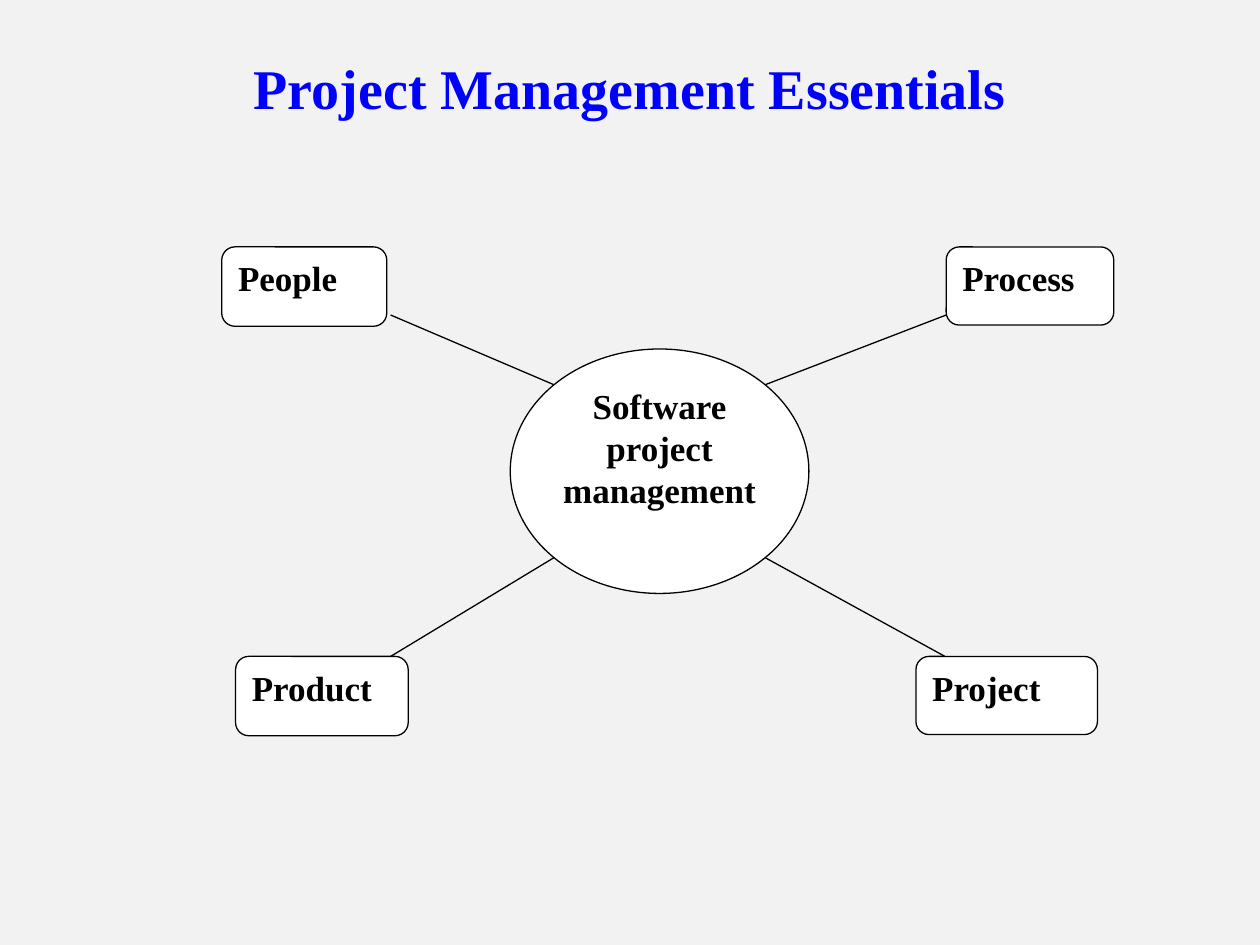
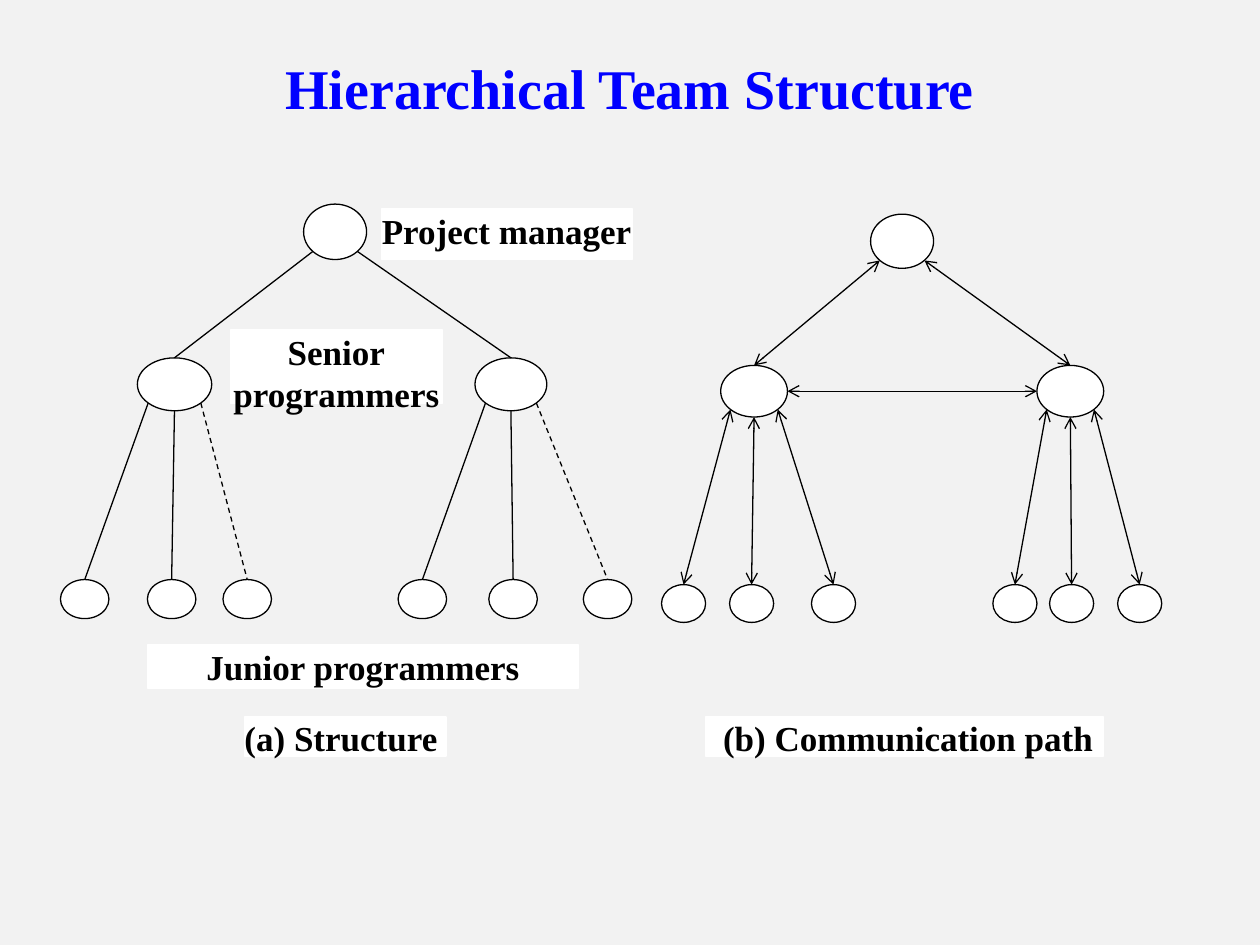
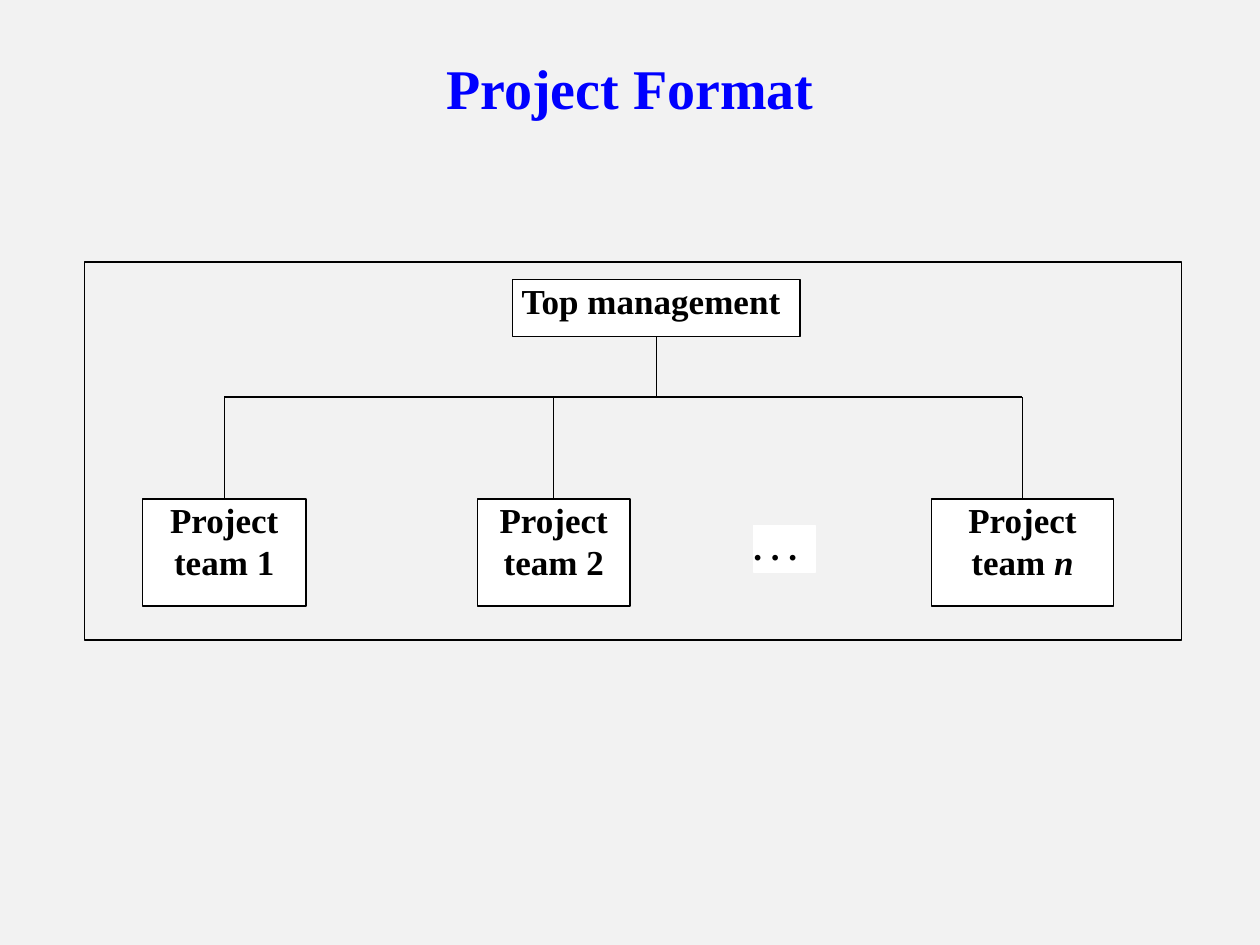
import dataclasses

import lxml.etree
import pptx
import pptx.dml.color
import pptx.enum.dml
import pptx.enum.shapes
import pptx.enum.text
import pptx.oxml.ns
import pptx.util

SHAPE = pptx.enum.shapes.MSO_SHAPE
ALIGN = pptx.enum.text.PP_ALIGN
ANCHOR = pptx.enum.text.MSO_ANCHOR

WIDTH, HEIGHT = pptx.util.Inches(10), pptx.util.Inches(7.5)
COLUMNS, ROWS = 100, 75
RIM = 0.354  # share of an ellipse's size from its centre to its diagonal rim


@dataclasses.dataclass(frozen=True)
class Theme:
    font: str = "Times New Roman"
    title_size: float = 32
    text_size: float = 20
    line_width: float = 0.75
    background: str = "F2F2F2"
    title: str = "0000FF"
    ink: str = "000000"
    paper: str = "FFFFFF"


THEME = Theme()


@dataclasses.dataclass(frozen=True)
class Box:
    """A rectangle in columns and rows of the slide grid."""
    col: float
    row: float
    cols: float
    rows: float

    def inner(self, col, row, cols, rows):
        return Box(self.col + col, self.row + row, cols, rows)

    def point(self, across, down):
        """Point at the given shares of the offset from centre to full size."""
        return (self.col + self.cols * (0.5 + across),
                self.row + self.rows * (0.5 + down))

    def top(self):
        return self.point(0, -0.5)

    def emu(self):
        return (*to_emu(self.col, self.row), *to_emu(self.cols, self.rows))


def to_emu(col, row):
    return round(col * WIDTH / COLUMNS), round(row * HEIGHT / ROWS)


def color(code):
    return pptx.dml.color.RGBColor.from_string(code)


def add_run(paragraph, text, size, ink, italic=False):
    run = paragraph.add_run()
    run.text = text
    run.font.name = THEME.font
    run.font.size = pptx.util.Pt(size)
    run.font.bold = True
    if italic:
        run.font.italic = True
    run.font.color.rgb = color(ink)


def add_block(slide, box, kind=SHAPE.RECTANGLE, outline=THEME.ink, filled=True):
    block = slide.shapes.add_shape(kind, *box.emu())
    block.shadow.inherit = False
    if filled:
        block.fill.solid()
        block.fill.fore_color.rgb = color(THEME.paper)
    else:
        block.fill.background()
    block.line.color.rgb = color(outline)
    block.line.width = pptx.util.Pt(THEME.line_width)
    return block


def write(block, lines, align=ALIGN.CENTER, left=0, padded=False):
    """Fill a block with lines; each is a tuple of a run and maybe an italic one."""
    frame = block.text_frame
    frame.word_wrap = True
    frame.vertical_anchor = ANCHOR.TOP
    if not padded:
        frame.margin_left = pptx.util.Pt(left)
        frame.margin_right = frame.margin_top = frame.margin_bottom = 0
    for number, runs in enumerate(lines):
        paragraph = frame.add_paragraph() if number else frame.paragraphs[0]
        paragraph.alignment = align
        for position, text in enumerate(runs):
            add_run(paragraph, text, THEME.text_size, THEME.ink, position > 0)


def add_label(slide, box, *lines, align=ALIGN.CENTER, left=0):
    write(add_block(slide, box, outline=THEME.paper),
          [(line,) for line in lines], align, left)


def add_link(slide, start, end, dashed=False, arrows=False):
    link = slide.shapes.add_connector(
        pptx.enum.shapes.MSO_CONNECTOR.STRAIGHT, *to_emu(*start), *to_emu(*end))
    link.line.color.rgb = color(THEME.ink)
    link.line.width = pptx.util.Pt(THEME.line_width)
    if dashed:
        link.line.dash_style = pptx.enum.dml.MSO_LINE.DASH
    if arrows:
        for tip in ("a:headEnd", "a:tailEnd"):
            lxml.etree.SubElement(link.line._get_or_add_ln(),
                                  pptx.oxml.ns.qn(tip), type="arrow")
    lxml.etree.SubElement(link._element.spPr, pptx.oxml.ns.qn("a:effectLst"))


def add_titled_slide(deck, heading):
    slide = deck.slides.add_slide(deck.slide_layouts[5])
    title = slide.shapes.title
    title.left, title.top, title.width, title.height = Box(5, 3, 90, 7.8).emu()
    title.text_frame.vertical_anchor = ANCHOR.MIDDLE
    paragraph = title.text_frame.paragraphs[0]
    paragraph.alignment = ALIGN.CENTER
    add_run(paragraph, heading, THEME.title_size, THEME.title)
    return slide


def draw_essentials(slide, region):
    hub = region.inner(22.9, 8.1, 23.7, 19.4)
    write(add_block(slide, hub, SHAPE.OVAL), [("Software project management",)])
    # name, card, link end, side of the hub
    essentials = (
        ("People", (0, 0, 13.1, 6.3), (13.4, 5.4), (-RIM, -RIM)),
        ("Process", (57.5, 0, 13.3, 6.2), (57.5, 5.4), (RIM, -RIM)),
        ("Product", (1.1, 32.5, 13.7, 6.3), (13.4, 32.5), (-RIM, RIM)),
        ("Project", (55.1, 32.5, 14.4, 6.2), (57.4, 32.5), (RIM, RIM)),
    )
    for name, card, (col, row), side in essentials:
        block = add_block(slide, region.inner(*card), SHAPE.ROUNDED_RECTANGLE)
        write(block, [(name,)], ALIGN.LEFT, padded=True)
        add_link(slide, hub.point(*side), (region.col + col, region.row + row))


def draw_team(slide, region, manager, seniors, junior_row, junior_size,
              communicating=False):
    """Draw a manager, two seniors and their juniors, given as (senior, columns)."""
    manager = region.inner(*manager)
    add_block(slide, manager, SHAPE.OVAL)
    senior_boxes = [region.inner(*senior) for senior, _ in seniors]
    for senior, (_, junior_cols), side in zip(senior_boxes, seniors, (-RIM, RIM)):
        add_block(slide, senior, SHAPE.OVAL)
        add_link(slide, manager.point(side, RIM), senior.top(),
                 arrows=communicating)
        exits = ((-RIM, RIM), (0, 0.5), (RIM, RIM))
        for number, (col, exit_side) in enumerate(zip(junior_cols, exits)):
            junior = region.inner(col, junior_row, *junior_size)
            add_block(slide, junior, SHAPE.OVAL)
            add_link(slide, senior.point(*exit_side), junior.top(),
                     dashed=number == 2 and not communicating,
                     arrows=communicating)
    if communicating:
        left, right = senior_boxes
        add_link(slide, left.point(0.5, 0), right.point(-0.5, 0), arrows=True)


def draw_structure(slide, region):
    draw_team(slide, region, (19.3, 0, 5, 4.4),
              (((6.1, 12.2, 5.9, 4.2), (0, 6.9, 12.9)),
               ((32.9, 12.2, 5.7, 4.2), (26.8, 34, 41.5))),
              29.8, (3.85, 3.1))
    add_label(slide, region.inner(25.5, 0.4, 19.9, 4), "Project manager",
              align=ALIGN.LEFT)
    add_label(slide, region.inner(13.5, 10, 16.8, 5.8), "Senior", "programmers")
    add_label(slide, region.inner(6.9, 35, 34.2, 3.4), "Junior programmers")
    add_label(slide, region.inner(14.6, 40.7, 16, 3.1), "(a) Structure",
              align=ALIGN.LEFT)


def draw_communication(slide, region):
    draw_team(slide, region, (16.6, 0, 5, 4.3),
              (((4.7, 12, 5.3, 4.1), (0, 5.4, 11.9)),
               ((29.8, 12, 5.3, 4.1), (26.3, 30.8, 36.2))),
              29.4, (3.5, 3), communicating=True)
    add_label(slide, region.inner(3.5, 39.9, 31.6, 3.1), "(b) Communication path",
              align=ALIGN.LEFT, left=10)


def draw_project_format(slide, region):
    add_block(slide, region, filled=False)
    management = region.inner(34, 1.4, 22.8, 4.5)
    write(add_block(slide, management), [("Top management",)], ALIGN.LEFT, left=5)
    bus_row = region.row + 10.7
    teams = (
        (4.6, 13, ("team 1",)),
        (31.2, 12.1, ("team 2",)),
        (67.2, 14.5, ("team ", "n")),
    )
    stems = []
    for col, cols, name in teams:
        team = region.inner(col, 18.8, cols, 8.5)
        write(add_block(slide, team), [("Project",), name])
        stem, top = team.top()
        add_link(slide, (stem, bus_row), (stem, top))
        stems.append(stem)
    add_link(slide, (stems[0], bus_row), (stems[-1], bus_row))
    stem, bottom = management.point(0, 0.5)
    add_link(slide, (stem, bottom), (stem, bus_row))
    add_label(slide, region.inner(53.1, 20.9, 4.9, 3.7), ". . .", align=ALIGN.LEFT)


def main():
    deck = pptx.Presentation()
    deck.slide_width, deck.slide_height = WIDTH, HEIGHT
    backdrop = deck.slide_master.background.fill
    backdrop.solid()
    backdrop.fore_color.rgb = color(THEME.background)

    draw_essentials(add_titled_slide(deck, "Project Management Essentials"),
                    Box(17.6, 19.6, 70.8, 38.8))
    hierarchy = add_titled_slide(deck, "Hierarchical Team Structure")
    draw_structure(hierarchy, Box(4.8, 16.2, 45.4, 43.8))
    draw_communication(hierarchy, Box(52.5, 17, 39.7, 43))
    draw_project_format(add_titled_slide(deck, "Project Format"),
                        Box(6.7, 20.8, 87.1, 30))
    deck.save("out.pptx")


if __name__ == "__main__":
    main()
